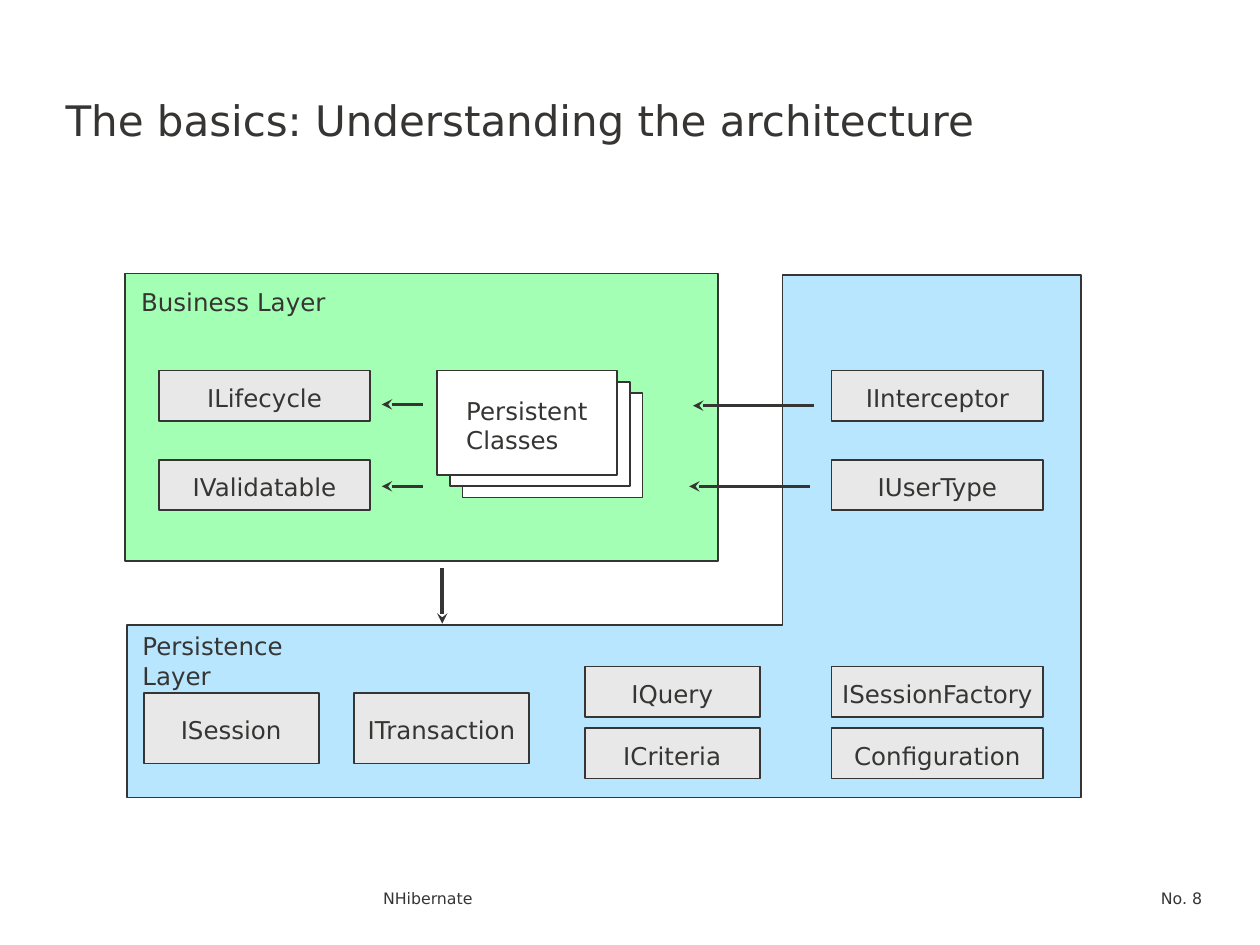
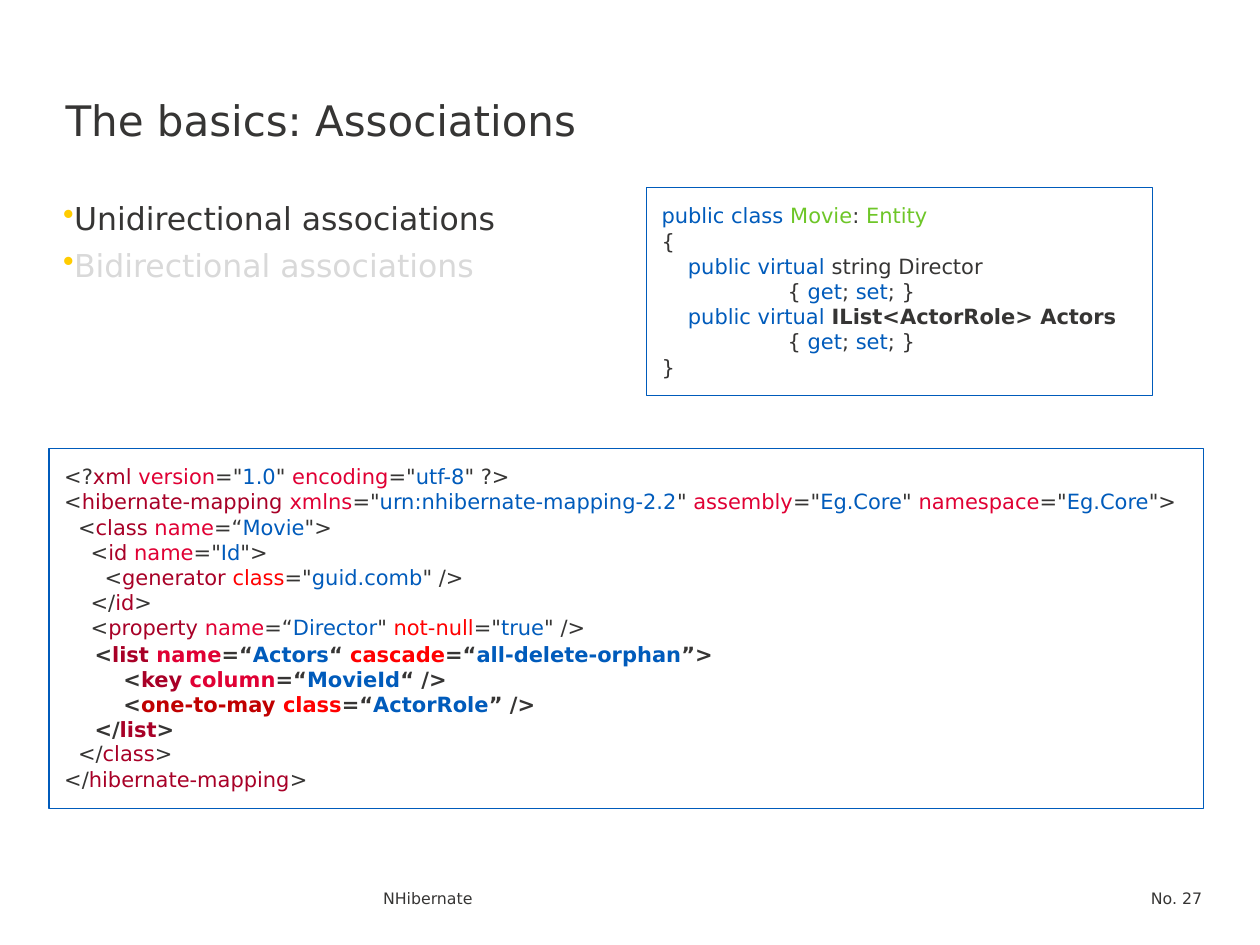
from dataclasses import dataclass, field
from typing import NamedTuple

from lxml import etree
from pptx import Presentation
from pptx import util as u
from pptx.dml.color import RGBColor
from pptx.enum import shapes, text
from pptx.oxml import ns

Inches = u.Inches
LEFT, MID, RIGHT = text.PP_ALIGN.LEFT, text.PP_ALIGN.CENTER, text.PP_ALIGN.RIGHT
TOP, CORE, BASE = text.MSO_ANCHOR.TOP, text.MSO_ANCHOR.MIDDLE, text.MSO_ANCHOR.BOTTOM


@dataclass(frozen=True)
class Theme:
    font: str = "DejaVu Sans"
    size: dict[str, int] = field(default_factory=lambda: {
        "title": 24, "body": 18, "label": 14, "code": 12, "foot": 9})
    hue: dict[str, str] = field(default_factory=lambda: {
        "ink": "363534", "dim": "D9D9D9", "dot": "FFCC00", "white": "FFFFFF",
        "green": "A3FFB3", "sky": "B8E6FF", "grey": "E8E8E8",
        "key": "005BBB", "val": "005BBB", "type": "6EC628",
        "tag": "A80027", "attr": "E00034", "red": "FF0000", "rust": "C00000"})

    def rgb(self, name: str) -> RGBColor:
        return RGBColor.from_string(self.hue[name])


THEME = Theme()


class Box(NamedTuple):
    x: float
    y: float
    w: float
    h: float

    def emu(self) -> list[int]:
        return [Inches(n) for n in self]


class Line(NamedTuple):
    """Runs are split by "|"; a run may start with "hue:", and "*" makes it bold."""
    runs: str
    dent: float = 0
    above: float = 0


class Node(NamedTuple):
    name: str
    box: Box


class Arrow(NamedTuple):
    """The head sits at the first point."""
    x: float
    y: float
    x2: float
    y2: float


def write(shape, lines: list[Line], size: str, align=LEFT, anchor=TOP,
          wrap: bool = True, pad: tuple = (0, 0, 0, 0)) -> None:
    frame = shape.text_frame
    sides = ("margin_left", "margin_top", "margin_right", "margin_bottom")
    form = {"word_wrap": wrap, "vertical_anchor": anchor,
            **{side: Inches(n) for side, n in zip(sides, pad)}}
    for name, value in form.items():
        setattr(frame, name, value)
    for i, line in enumerate(lines):
        para = frame.paragraphs[0] if i == 0 else frame.add_paragraph()
        para.alignment = align
        if line.above:
            para.space_before = Inches(line.above)
        if line.dent:
            para._p.get_or_add_pPr().set("marL", str(Inches(line.dent)))
        for part in line.runs.split("|"):
            hue, _, rest = part.partition(":")
            hue, words = (hue, rest) if hue in THEME.hue else ("ink", part)
            run = para.add_run()
            run.text = words.removeprefix("*")
            look = {"name": THEME.font, "size": u.Pt(THEME.size[size]),
                    "bold": words.startswith("*")}
            for name, value in look.items():
                setattr(run.font, name, value)
            run.font.color.rgb = THEME.rgb(hue)


def note(slide, box: Box, lines: list[Line], size: str, **form):
    shape = slide.shapes.add_textbox(*box.emu())
    write(shape, lines, size, **form)
    return shape


def paint(shape, fill: str | None, edge: str = "ink", width: float = 1) -> None:
    shape.shadow.inherit = False
    if fill:
        shape.fill.solid()
        shape.fill.fore_color.rgb = THEME.rgb(fill)
    else:
        shape.fill.background()
    shape.line.color.rgb = THEME.rgb(edge)
    shape.line.width = u.Pt(width)


def block(slide, box: Box, fill: str | None, **edge):
    shape = slide.shapes.add_shape(shapes.MSO_SHAPE.RECTANGLE, *box.emu())
    paint(shape, fill, **edge)
    return shape


def panel(slide, points: list[tuple[float, float]], fill: str) -> None:
    dots = [(Inches(x), Inches(y)) for x, y in points]
    build = slide.shapes.build_freeform(*dots[0])
    build.add_line_segments(dots[1:], close=True)
    paint(build.convert_to_shape(), fill)


def point(slide, arrow: Arrow) -> None:
    ends = [Inches(n) for n in arrow]
    link = slide.shapes.add_connector(shapes.MSO_CONNECTOR.STRAIGHT, *ends)
    link.line.color.rgb = THEME.rgb("ink")
    link.line.width = u.Pt(2)
    etree.SubElement(link.line._get_or_add_ln(), ns.qn("a:headEnd"), type="stealth")
    etree.SubElement(link._element.spPr, ns.qn("a:effectLst"))


def dot(para) -> None:
    props = para._p.get_or_add_pPr()
    props.set("marL", "0")
    props.set("indent", "0")
    tint = etree.SubElement(props, ns.qn("a:buClr"))
    etree.SubElement(tint, ns.qn("a:srgbClr"), val=THEME.hue["dot"])
    etree.SubElement(props, ns.qn("a:buChar"), char="•")


def code(slide, box: Box, lines: list[Line]) -> None:
    write(block(slide, box, None, edge="key", width=0.75), lines, "code", pad=PAD)


def start(deck, title: str, number: int):
    """Add a slide with its title and footers."""
    slide = deck.slides.add_slide(deck.slide_layouts[6])
    note(slide, Box(0.52, 0.29, 7.45, 0.86), [Line(title)], "title", anchor=BASE)
    for words, box, align in (("NHibernate", Box(3.04, 7.02, 5.35, 0.18), LEFT),
                              (f"No. {number}", Box(8.69, 7.02, 0.85, 0.18), RIGHT)):
        note(slide, box, [Line(words)], "foot", align=align, anchor=BASE)
    return slide


PAD = (0.12,) * 4
WIDE, SLIM = (1.68, 0.4), (1.39, 0.4)
TALL = (1.39, 0.56)
NODES = [
    Node("IInterceptor", Box(6.6, 2.94, *WIDE)),
    Node("IUserType", Box(6.6, 3.65, *WIDE)),
    Node("ISessionFactory", Box(6.6, 5.29, *WIDE)),
    Node("Configuration", Box(6.6, 5.78, *WIDE)),
    Node("IQuery", Box(4.64, 5.29, *SLIM)),
    Node("ICriteria", Box(4.64, 5.78, *SLIM)),
    Node("ISession", Box(1.14, 5.5, *TALL)),
    Node("ITransaction", Box(2.81, 5.5, *TALL)),
    Node("ILifecycle", Box(1.26, 2.94, *WIDE)),
    Node("IValidatable", Box(1.26, 3.65, *WIDE)),
]
TITLES = [
    Node("Persistence Layer", Box(1.13, 5.01, 1.72, 0.47)),
    Node("Business Layer", Box(1.12, 2.28, 1.6, 0.24)),
]
ARROWS = [
    Arrow(5.5, 3.22, 6.46, 3.22),
    Arrow(5.47, 3.86, 6.43, 3.86),
    Arrow(3.03, 3.21, 3.36, 3.21),
    Arrow(3.03, 3.86, 3.36, 3.86),
    Arrow(3.51, 4.95, 3.51, 4.51),
]
REALM = [(1.01, 6.33), (8.58, 6.33), (8.58, 2.18), (6.21, 2.18), (6.21, 4.96), (1.01, 4.96)]

ACCESS = Line("{ |key:get|; |key:set|; }", 1)
MOVIE = [
    Line("key:public class |type:Movie|: |type:Entity"),
    Line("{"),
    Line("key:public virtual| string Director", 0.21),
    ACCESS,
    Line("key:public virtual |*IList<ActorRole> Actors", 0.21),
    ACCESS,
    Line("}"),
]
MAPPING = [
    Line('<?|tag:xml |attr:version|="|val:1.0|" |attr:encoding|="|val:utf-8|" ?>'),
    Line('<|tag:hibernate-mapping |attr:xmlns|="|val:urn:nhibernate-mapping-2.2|" '
         '|attr:assembly|="|val:Eg.Core|" |attr:namespace|="|val:Eg.Core|">'),
    Line('<|tag:class |attr:name|=“|val:Movie|">', 0.11),
    Line('<|tag:id |attr:name|="|val:Id|">', 0.21),
    Line('<|tag:generator |red:class|="|val:guid.comb|" />', 0.32),
    Line('</|tag:id|>', 0.21),
    Line('<|tag:property |attr:name|=“|val:Director|" |red:not-null|="|val:true|" />', 0.21),
    Line('</|tag:class|>', 0.11, above=0.8),
    Line('</|tag:hibernate-mapping|>'),
]
ACTORS = [
    Line("*<|tag:*list |attr:*name|*=“|val:*Actors|*“ |red:*cascade|*=“"
         "|val:*all-delete-orphan|*”>"),
    Line("*<|tag:*key |attr:*column|*=“|val:*MovieId|*“ />", 0.23),
    Line("*<|rust:*one-to-may |red:*class|*=“|val:*ActorRole|*” />", 0.23),
    Line("*</|tag:*list|*>"),
]


def layers(deck) -> None:
    slide = start(deck, "The basics: Understanding the architecture", 8)
    block(slide, Box(0.99, 2.17, 4.71, 2.28), "green")
    panel(slide, REALM, "sky")
    for name, box in NODES:
        write(block(slide, box, "grey"), [Line(name)], "label",
              align=MID, anchor=CORE, pad=(0, 0.03, 0, 0))
    for step in (2, 1, 0):
        sheet = block(slide, Box(3.47 + 0.1 * step, 2.94 + 0.09 * step, 1.43, 0.83), "white")
    write(sheet, [Line("Persistent"), Line("Classes")], "label",
          anchor=CORE, pad=(0.23, 0.04, 0, 0))
    for name, box in TITLES:
        note(slide, box, [Line(name)], "label")
    for arrow in ARROWS:
        point(slide, arrow)


def links(deck) -> None:
    slide = start(deck, "The basics: Associations", 27)
    body = note(slide, Box(0.5, 1.58, 8.98, 1.52),
                [Line("Unidirectional associations", above=0.07),
                 Line("dim:Bidirectional associations", above=0.07)], "body")
    for para in body.text_frame.paragraphs:
        dot(para)
    code(slide, Box(5.13, 1.49, 4.02, 1.65), MOVIE)
    code(slide, Box(0.39, 3.56, 9.16, 2.86), MAPPING)
    note(slide, Box(0.63, 4.97, 5.71, 1.05), ACTORS, "code", pad=PAD)


def main() -> None:
    deck = Presentation()
    deck.slide_width, deck.slide_height = Inches(10), Inches(7.5)
    layers(deck)
    links(deck)
    deck.save("out.pptx")


if __name__ == "__main__":
    main()
